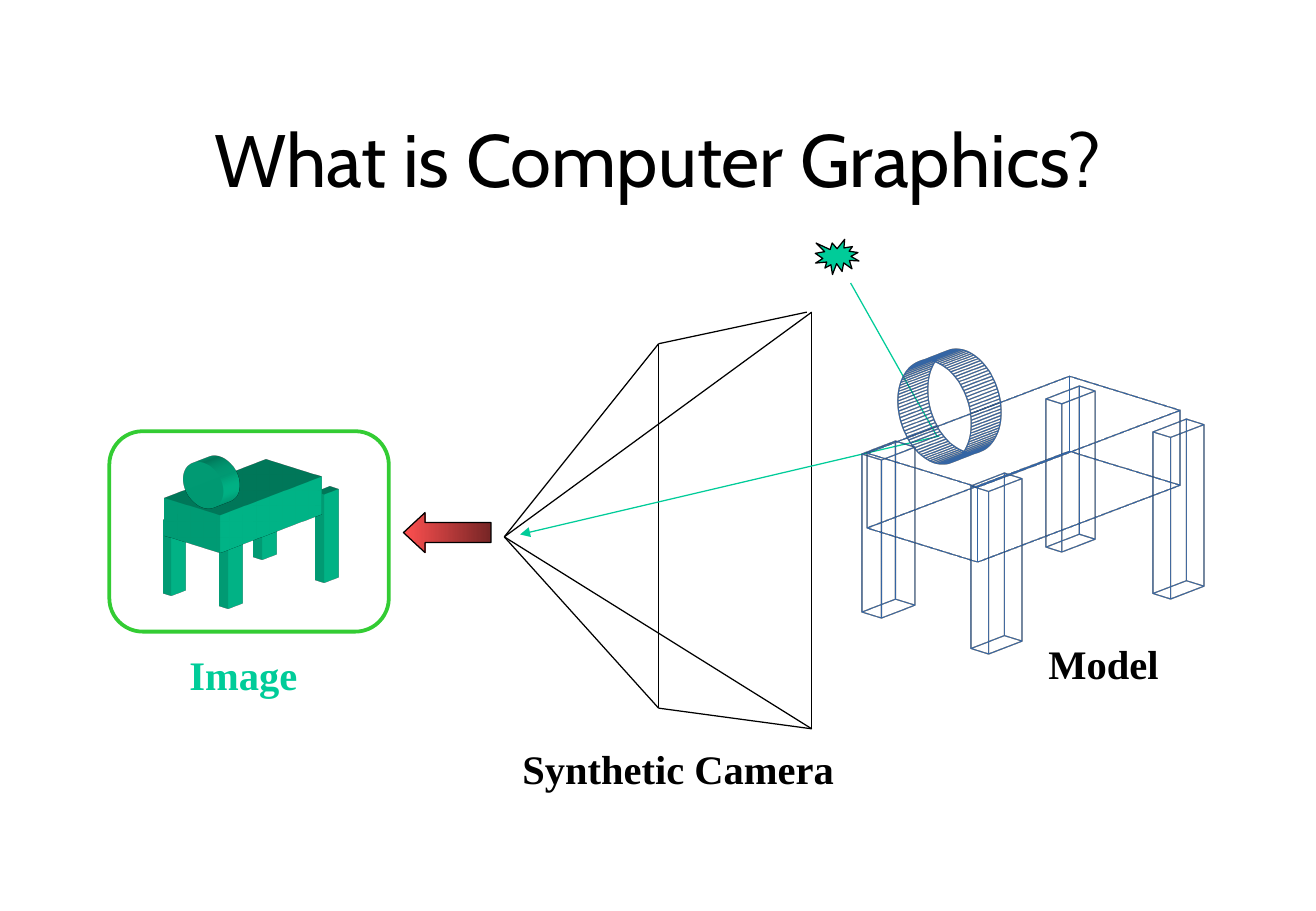
"""Build the computer graphics slide on a grid of tenth-of-an-inch cells, with solids as extruded shapes."""
from dataclasses import dataclass
from typing import Any, NamedTuple, Optional

from lxml import etree
from pptx import Presentation
from pptx import util as u
from pptx.dml import color
from pptx.enum import shapes, text
from pptx.oxml import ns

CELL = u.Inches(0.1)
COLUMNS, ROWS = 108.3, 75
DEGREE = 60000
TILT, TURN = 20 * DEGREE, 42 * DEGREE
RECTANGLE, OVAL = shapes.MSO_SHAPE.RECTANGLE, shapes.MSO_SHAPE.OVAL


@dataclass(frozen=True)
class Theme:
    ink: str = "000000"
    mint: str = "00CC99"
    frame: str = "33CC33"
    arrow_start: str = "FF5050"
    arrow_end: str = "762525"
    title_font: str = "Cabin"
    label_font: str = "Times New Roman"
    title_size: float = 44
    label_size: float = 24
    thin: float = 0.75
    thick: float = 2.25


THEME = Theme()


class Area(NamedTuple):
    column: float
    row: float
    width: float
    height: float


class Solid(NamedTuple):
    """A face of the table or its drum, with the depth it is extruded to."""
    face: Area
    depth: float
    outline: Any = RECTANGLE


class Ray(NamedTuple):
    start: complex
    end: complex
    colour: str = THEME.ink
    arrow: bool = False


class Label(NamedTuple):
    wording: str
    area: Area
    colour: str


IMAGE = [
    Solid(Area(17.9, 42.5, 1, 7.7), 1.8),
    Solid(Area(20.7, 38.5, 1, 7.7), 1.8),
    Solid(Area(13.3, 42.7, 0.9, 6.4), 1.8),
    Solid(Area(25.8, 40.4, 1, 7.7), 1.8),
    Solid(Area(12.7, 41.6, 6.2, 3.3), 12.5),
    Solid(Area(14.5, 38, 4.4, 3.9), 2),
]
IMAGE[-1] = IMAGE[-1]._replace(outline=OVAL)
MODEL = [
    Solid(Area(85.8, 32.6, 1.8, 13.1), 4.2),
    Solid(Area(79.6, 39.8, 2, 14.3), 4.2),
    Solid(Area(70.6, 37.2, 2.2, 13.9), 4.2),
    Solid(Area(69.7, 38.5, 12.3, 6.6), 25),
    Solid(Area(72.8, 29.5, 8.2, 8.9), 3.7, OVAL),
    Solid(Area(94.6, 35.3, 2, 14.3), 4.2),
]

EYE, NEAR_TOP, NEAR_BOTTOM = 41.5 + 44.2j, 54.2 + 28.3j, 54.2 + 58.3j
FAR_TOP, FAR_BOTTOM = 66.8 + 25.7j, 66.8 + 60j
RAYS = [
    Ray(NEAR_TOP, 66.4 + 25.7j), Ray(FAR_TOP, FAR_BOTTOM),
    Ray(FAR_BOTTOM, NEAR_BOTTOM), Ray(NEAR_TOP, NEAR_BOTTOM),
    *(Ray(EYE, corner) for corner in (FAR_TOP, FAR_BOTTOM, NEAR_BOTTOM, NEAR_TOP)),
    Ray(70 + 23.3j, 77.1 + 35.9j, THEME.mint),
    Ray(77.3 + 35.9j, 42.8 + 44j, THEME.mint, True),
]
IMAGE_LABEL = Label("Image", Area(14.6, 53, 12.7, 5), THEME.mint)
CAMERA_LABEL = Label("Synthetic Camera", Area(42, 60.8, 30.1, 5), THEME.ink)
MODEL_LABEL = Label("Model", Area(85.3, 52.1, 12.1, 5), THEME.ink)


def cells(*lengths: float) -> list[u.Emu]:
    return [u.Emu(round(length * CELL)) for length in lengths]


def rgb(value: str) -> color.RGBColor:
    return color.RGBColor.from_string(value)


def add_child(parent: Any, tag: str, **attributes: str) -> Any:
    return etree.SubElement(parent, ns.qn(tag), **attributes)


def add_figure(slide: Any, outline: Any, area: Area, fill: Optional[str] = None,
               line: Optional[str] = None, weight: float = THEME.thin) -> Any:
    shape = slide.shapes.add_shape(outline, *cells(*area))
    shape.shadow.inherit = False
    if fill:
        shape.fill.solid()
        shape.fill.fore_color.rgb = rgb(fill)
    else:
        shape.fill.background()
    if line:
        shape.line.color.rgb = rgb(line)
        shape.line.width = u.Pt(weight)
    else:
        shape.line.fill.background()
    return shape


def add_solid(slide: Any, solid: Solid, material: str) -> None:
    properties = add_figure(slide, solid.outline, solid.face, fill=THEME.mint)._element.spPr
    scene = add_child(properties, "a:scene3d")
    camera = add_child(scene, "a:camera", prst="orthographicFront")
    add_child(camera, "a:rot", lat=str(TILT), lon=str(TURN), rev="0")
    add_child(scene, "a:lightRig", rig="legacyFlat3", dir="t")
    depth = str(cells(solid.depth)[0])
    body = add_child(properties, "a:sp3d", extrusionH=depth, prstMaterial=material)
    add_child(add_child(body, "a:extrusionClr"), "a:srgbClr", val=THEME.mint)


def add_ray(slide: Any, ray: Ray) -> None:
    ends = cells(ray.start.real, ray.start.imag, ray.end.real, ray.end.imag)
    line = slide.shapes.add_connector(shapes.MSO_CONNECTOR.STRAIGHT, *ends)
    line.line.color.rgb = rgb(ray.colour)
    line.line.width = u.Pt(THEME.thin)
    if ray.arrow:
        add_child(line.line._get_or_add_ln(), "a:tailEnd", type="triangle")
    add_child(line._element.spPr, "a:effectLst")


def add_text(slide: Any, wording: str, area: Area, *, font: str = THEME.label_font,
             size: float = THEME.label_size, colour: str = THEME.ink, bold: bool = True,
             align: Any = text.PP_ALIGN.LEFT, anchor: Any = text.MSO_ANCHOR.TOP) -> None:
    frame = slide.shapes.add_textbox(*cells(*area)).text_frame
    frame.word_wrap = True
    frame.vertical_anchor = anchor
    paragraph = frame.paragraphs[0]
    paragraph.text, paragraph.alignment = wording, align
    paragraph.font.name, paragraph.font.size = font, u.Pt(size)
    paragraph.font.bold, paragraph.font.color.rgb = bold, rgb(colour)


def add_label(slide: Any, label: Label) -> None:
    add_text(slide, label.wording, label.area, colour=label.colour)


def add_render_arrow(slide: Any) -> None:
    arrow = add_figure(slide, shapes.MSO_SHAPE.LEFT_ARROW, Area(33.2, 42.2, 7.2, 3.3), line=THEME.ink)
    arrow.adjustments[0], arrow.adjustments[1] = 0.5, 0.54
    arrow.fill.gradient()
    arrow.fill.gradient_angle = 0
    for stop, shade in zip(arrow.fill.gradient_stops, (THEME.arrow_start, THEME.arrow_end)):
        stop.color.rgb = rgb(shade)


def main() -> None:
    deck = Presentation()
    deck.slide_width, deck.slide_height = cells(COLUMNS, ROWS)
    slide = deck.slides.add_slide(deck.slide_layouts[6])
    add_text(slide, "What is Computer Graphics?", Area(8.1, 6.7, 92.1, 12.5),
             font=THEME.title_font, size=THEME.title_size, bold=False,
             align=text.PP_ALIGN.CENTER, anchor=text.MSO_ANCHOR.MIDDLE)
    add_render_arrow(slide)
    add_figure(slide, shapes.MSO_SHAPE.FLOWCHART_ALTERNATE_PROCESS, Area(9, 35.5, 23, 16.5),
               line=THEME.frame, weight=THEME.thick)
    for solid in IMAGE:
        add_solid(slide, solid, "legacyMatte")
    add_label(slide, IMAGE_LABEL)
    add_figure(slide, shapes.MSO_SHAPE.EXPLOSION1, Area(67.1, 19.7, 3.6, 2.9),
               fill=THEME.mint, line=THEME.ink)
    add_label(slide, CAMERA_LABEL)
    for ray in RAYS:
        add_ray(slide, ray)
    for solid in MODEL:
        add_solid(slide, solid, "legacyWireframe")
    add_label(slide, MODEL_LABEL)
    deck.save("out.pptx")


if __name__ == "__main__":
    main()
